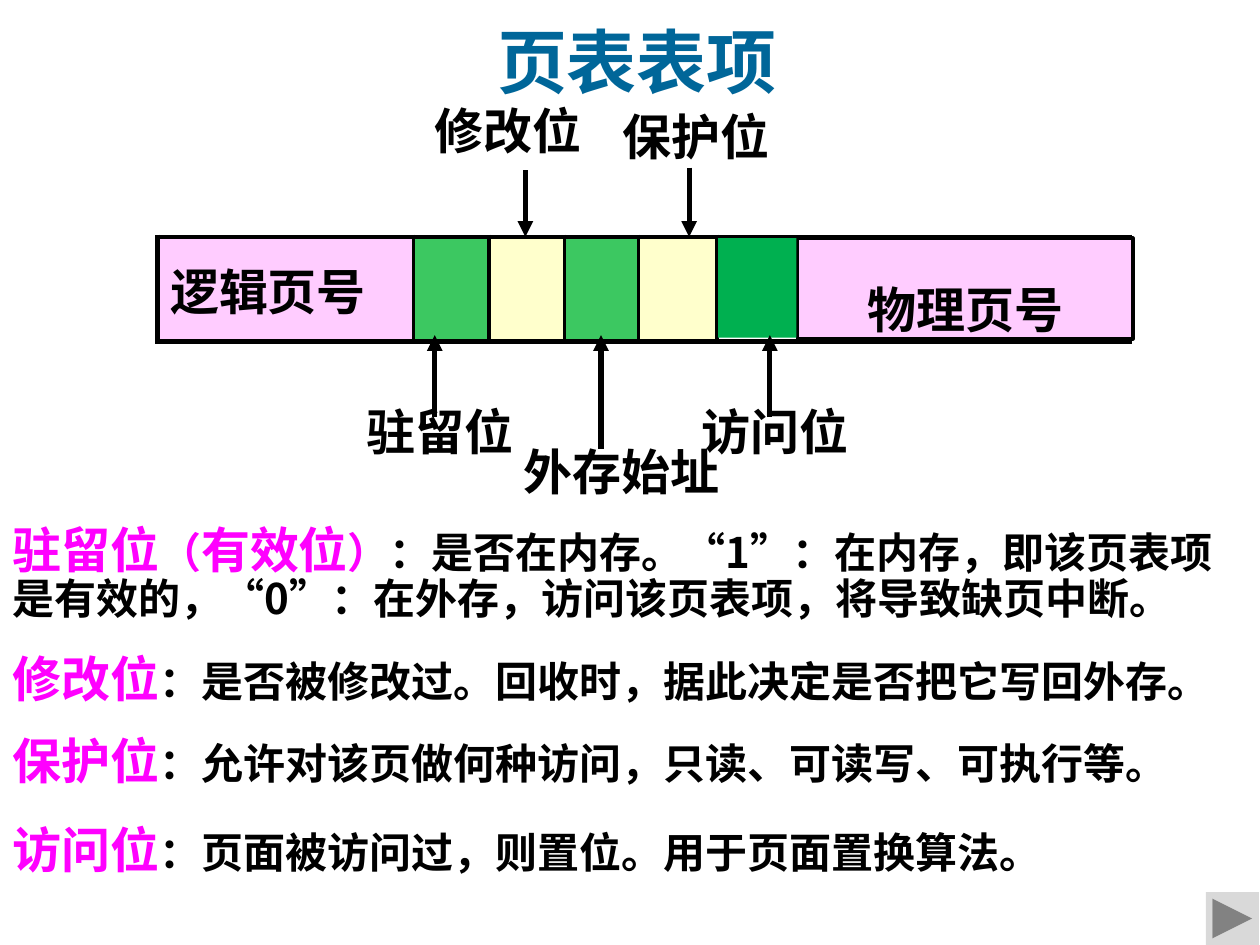
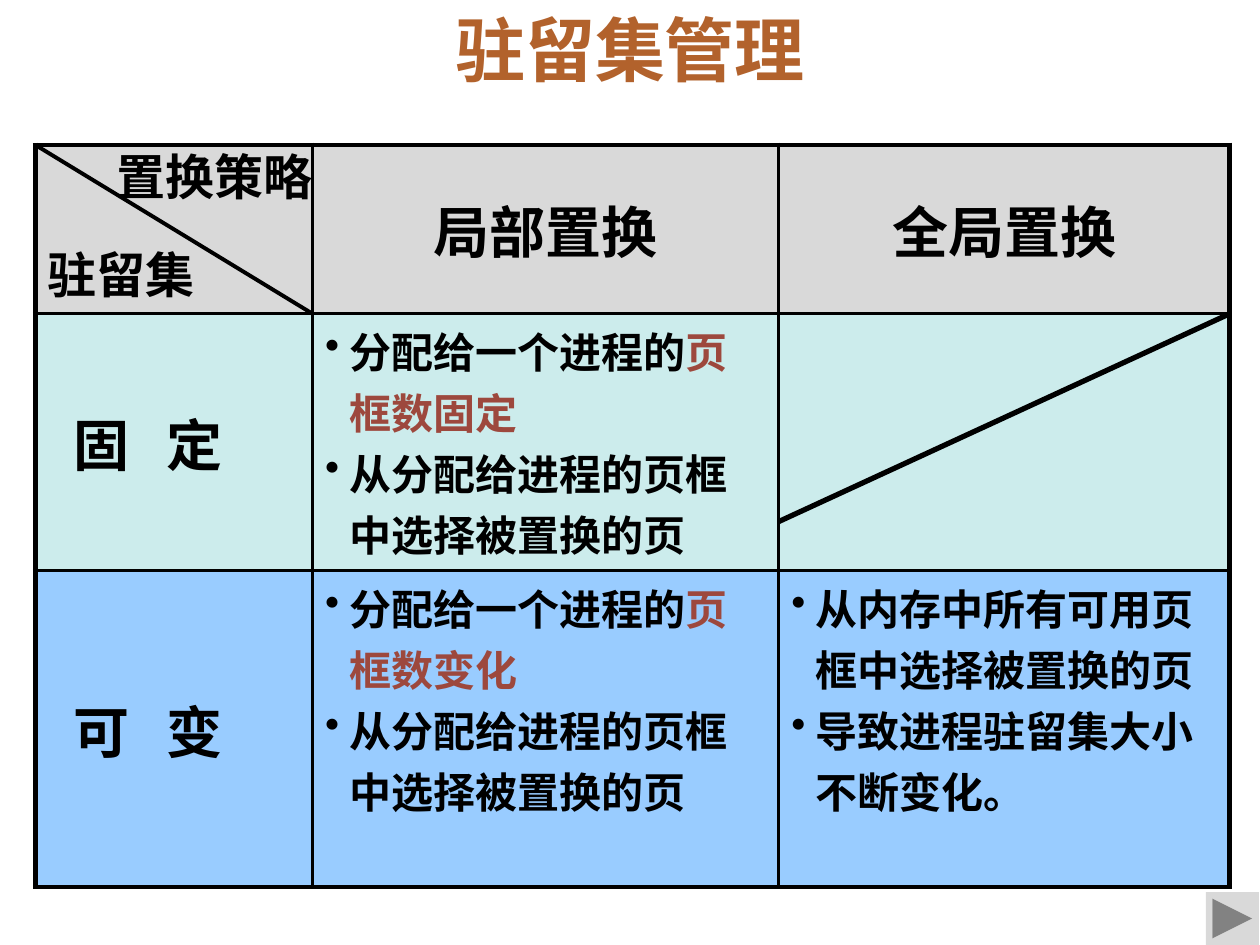
from itertools import accumulate

from pptx import Presentation
from pptx.dml.color import RGBColor
from pptx.enum.dml import MSO_LINE
from pptx.enum.lang import MSO_LANGUAGE_ID
from pptx.enum.shapes import MSO_CONNECTOR, MSO_SHAPE
from pptx.enum.text import MSO_ANCHOR, MSO_AUTO_SIZE, PP_ALIGN
from pptx.oxml.ns import qn
from pptx.util import Inches, Pt
from lxml.etree import SubElement

RECT = MSO_SHAPE.RECTANGLE
NEXT = MSO_SHAPE.ACTION_BUTTON_FORWARD_OR_NEXT
LINE = MSO_CONNECTOR.STRAIGHT
SOLID = MSO_LINE.SOLID
MID, LOW, TOP = MSO_ANCHOR.MIDDLE, MSO_ANCHOR.BOTTOM, MSO_ANCHOR.TOP
CENTER, LEFT = PP_ALIGN.CENTER, PP_ALIGN.LEFT
FIXED = MSO_AUTO_SIZE.NONE
CHINESE = MSO_LANGUAGE_ID.SIMPLIFIED_CHINESE

COLS, ROWS = 100, 75
WIDTH, HEIGHT = Inches(10), Inches(7.5)
SANS, SERIF = "Noto Sans CJK SC", "Times New Roman"
TIGHT = 0.87
HEX = {
    "ink": "000000", "blue": "006699", "brown": "B2622C", "red": "9D483D",
    "key": "FF00FF", "pink": "FFCCFF", "green": "3CC861", "cream": "FFFFCC",
    "leaf": "00B050", "gray": "D9D9D9", "mint": "CCECEC", "sky": "99CCFF",
}


def across(n):
    return round(n * WIDTH / COLS)


def down(n):
    return round(n * HEIGHT / ROWS)


def place(x, y, w, h):
    return across(x), down(y), across(w), down(h)


def color(name):
    return RGBColor.from_string(HEX[name])


def style(run, size, tint="ink", face=SANS):
    font = run.font
    font.name, font.size, font.bold = face, Pt(size), True
    font.color.rgb = color(tint)
    font.language_id = CHINESE
    SubElement(run._r.get_or_add_rPr(), qn("a:ea")).set("typeface", SANS)


def write(para, parts, face=SANS):
    for text, size, tint in parts:
        run = para.add_run()
        run.text = text
        style(run, size, tint, face)


def title(slide, box, text, tint, space=1.0):
    head = slide.shapes.title
    head.left, head.top, head.width, head.height = place(*box)
    frame = head.text_frame
    frame.text = text
    frame.auto_size, frame.word_wrap = FIXED, False
    frame.vertical_anchor = MID
    para = frame.paragraphs[0]
    para.alignment, para.line_spacing = CENTER, space
    style(para.runs[0], 40, tint, SERIF)


def label(slide, box, parts, wrap=False):
    frame = slide.shapes.add_textbox(*place(*box)).text_frame
    frame.word_wrap = wrap
    para = frame.paragraphs[0]
    para.line_spacing = TIGHT
    write(para, parts)


def block(slide, box, kind, tint):
    shape = slide.shapes.add_shape(kind, *place(*box))
    shape.shadow.inherit = False
    shape.fill.solid()
    shape.fill.fore_color.rgb = color(tint)
    shape.line.fill.background()
    return shape


def stroke(slide, start, end, width, arrow=False):
    line = slide.shapes.add_connector(
        LINE, across(start[0]), down(start[1]), across(end[0]), down(end[1]))
    line.line.width = Pt(width)
    line.line.dash_style = SOLID
    line.line.color.rgb = color("ink")
    props = line._element.spPr
    if arrow:
        SubElement(props.find(qn("a:ln")), qn("a:tailEnd")).set("type", "triangle")
    SubElement(props, qn("a:effectLst"))


def paint(cell, tint):
    if tint:
        cell.fill.solid()
        cell.fill.fore_color.rgb = color(tint)
    else:
        cell.fill.background()


def frame_cell(cell, edges):
    props = cell._tc.get_or_add_tcPr()
    for spot, (side, width) in enumerate(edges.items()):
        edge = SubElement(props, qn(f"a:{side}"), w=str(Pt(width)))
        fill = SubElement(edge, qn("a:solidFill"))
        SubElement(fill, qn("a:srgbClr")).set("val", HEX["ink"])
        props.remove(edge)
        props.insert(spot, edge)


def grid(slide, x, y, cols, rows, tints):
    table = slide.shapes.add_table(
        len(rows), len(cols), *place(x, y, sum(cols), sum(rows))).table
    table.first_row = table.horz_banding = False
    for col, size in zip(table.columns, cols):
        col.width = across(size)
    for row, size in zip(table.rows, rows):
        row.height = down(size)
    for r, line in enumerate(tints):
        for c, tint in enumerate(line):
            cell = table.cell(r, c)
            paint(cell, tint)
            frame_cell(cell, {
                "lnL": 3 if c == 0 else 2.25,
                "lnR": 3 if c == len(cols) - 1 else 2.25,
                "lnT": 3 if r == 0 else 2.25,
                "lnB": 3 if r == len(rows) - 1 else 2.25,
            })
    return table


def fill_cell(cell, parts, anchor=MID, align=LEFT):
    cell.vertical_anchor = anchor
    para = cell.text_frame.paragraphs[0]
    para.alignment = align
    write(para, parts)


def spread(cell, text):
    cell.margin_left = across(3)
    props = cell.text_frame.paragraphs[0]._p.get_or_add_pPr()
    tabs = SubElement(props, qn("a:tabLst"))
    SubElement(tabs, qn("a:tab"), pos=str(across(7.4)), algn="l")
    fill_cell(cell, [("\t".join(text), 32, "ink")])


def bullets(cell, items):
    cell.vertical_anchor = TOP
    frame = cell.text_frame
    for i, parts in enumerate(items):
        para = frame.add_paragraph() if i else frame.paragraphs[0]
        props = para._p.get_or_add_pPr()
        props.set("marL", str(across(1.9)))
        props.set("indent", str(-across(1.9)))
        SubElement(props, qn("a:buChar")).set("char", "•")
        write(para, [(text, 24, tint) for text, tint in parts])


def button(slide):
    block(slide, (95.7, 70.8, 4.2, 4.2), NEXT, "gray")


def entry(slide, x, y):
    tints = ["pink", "green", "cream", "green", "cream", None]
    table = grid(slide, x, y, [20.3, 6, 6, 5.9, 6.2, 32.8], [8.3], [tints])
    fill_cell(table.cell(0, 0), [("逻辑页号", 28, "ink")])
    page = block(slide, (x + 50.8, y + 0.1, 26.6, 8), RECT, "pink")
    page.line.color.rgb = color("ink")
    page.line.width = Pt(2.25)
    frame = page.text_frame
    frame.margin_top = down(1.4)
    para = frame.paragraphs[0]
    para.alignment, para.line_spacing = CENTER, Pt(50)
    write(para, [("物理页号", 28, "ink")], SERIF)
    block(slide, (x + 44.5, y + 0.1, 6.2, 7.9), RECT, "leaf")
    marks = [
        ("保护位", 42.2, -5.5, 0, 35.9, -10.2),
        ("外存始址", 35.2, 16.8, 7.8, 28.1, 16.4),
        ("修改位", 29.2, -5.3, 0, 21, -10.7),
        ("驻留位", 22, 14.3, 7.8, 15.6, 13.2),
        ("访问位", 48.6, 14.3, 7.8, 42.2, 13.2),
    ]
    for text, at, start, end, left, top in marks:
        stroke(slide, (x + at, y + start), (x + at, y + end), 3, True)
        width = 13.8 if len(text) == 3 else 17.7
        label(slide, (x + left, y + top, width, 5.7), [(text, 28, "ink")])


def terms(slide, x, y):
    notes = [
        (0, 97.7, 9.8, [
            ("驻留位", 28, "key"), ("（", 24, "key"), ("有效位", 28, "key"),
            ("）", 24, "key"),
            ("：是否在内存。“1”：在内存，即该页表项是有效的，"
             "“0”：在外存，访问该页表项，将导致缺页中断。", 24, "ink")]),
        (10.2, 100, 5.7, [
            ("修改位", 28, "key"),
            ("：是否被修改过。回收时，据此决定是否把它写回外存。", 24, "ink")]),
        (16.7, 95.3, 5.7, [
            ("保护位", 28, "key"),
            ("：允许对该页做何种访问，只读、可读写、可执行等。", 24, "ink")]),
        (23.8, 90.2, 5.7, [
            ("访问位", 28, "key"),
            ("：页面被访问过，则置位。用于页面置换算法。", 24, "ink")]),
    ]
    for top, w, h, parts in notes:
        label(slide, (x, y + top, w, h), parts, True)


def policy(slide, x, y):
    cols, rows = [22, 37, 35.8], [13.4, 20.4, 25.1]
    tints = [[tint] * 3 for tint in ("gray", "mint", "sky")]
    table = grid(slide, x, y, cols, rows, tints)
    fill_cell(table.cell(0, 0), [("驻留集", 28, "ink")], LOW)
    for c, text in enumerate(["局部置换", "全局置换"], 1):
        fill_cell(table.cell(0, c), [(text, 32, "ink")], MID, CENTER)
    for r, (text, hot) in enumerate([("固定", "页框数固定"), ("可变", "页框数变化")], 1):
        spread(table.cell(r, 0), text)
        bullets(table.cell(r, 1), [
            [("分配给一个进程的", "ink"), (hot, "red")],
            [("从分配给进程的页框中选择被置换的页", "ink")]])
    bullets(table.cell(2, 2), [
        [("从内存中所有可用页框中选择被置换的页", "ink")],
        [("导致进程驻留集大小不断变化。", "ink")]])
    edges = list(accumulate(cols, initial=x))
    head = y + rows[0]
    stroke(slide, (edges[2], head + 16.5), (edges[3], head), 3)
    stroke(slide, (x, y), (edges[1], head), 2.25)
    label(slide, (x + 5.5, y + 0.3, 18.9, 5.7), [("置换策略", 28, "ink")], True)


def main():
    deck = Presentation()
    deck.slide_width, deck.slide_height = WIDTH, HEIGHT
    layout = deck.slide_layouts[5]

    slide = deck.slides.add_slide(layout)
    title(slide, (38.3, 0.5, 24.5, 7.9), "页表表项", "blue", 1.1)
    entry(slide, 12.5, 18.8)
    terms(slide, 0, 41.4)
    button(slide)

    slide = deck.slides.add_slide(layout)
    title(slide, (28.9, 0, 42.2, 7.7), "驻留集管理", "brown")
    policy(slide, 2.8, 11.5)
    button(slide)

    deck.save("out.pptx")


if __name__ == "__main__":
    main()
